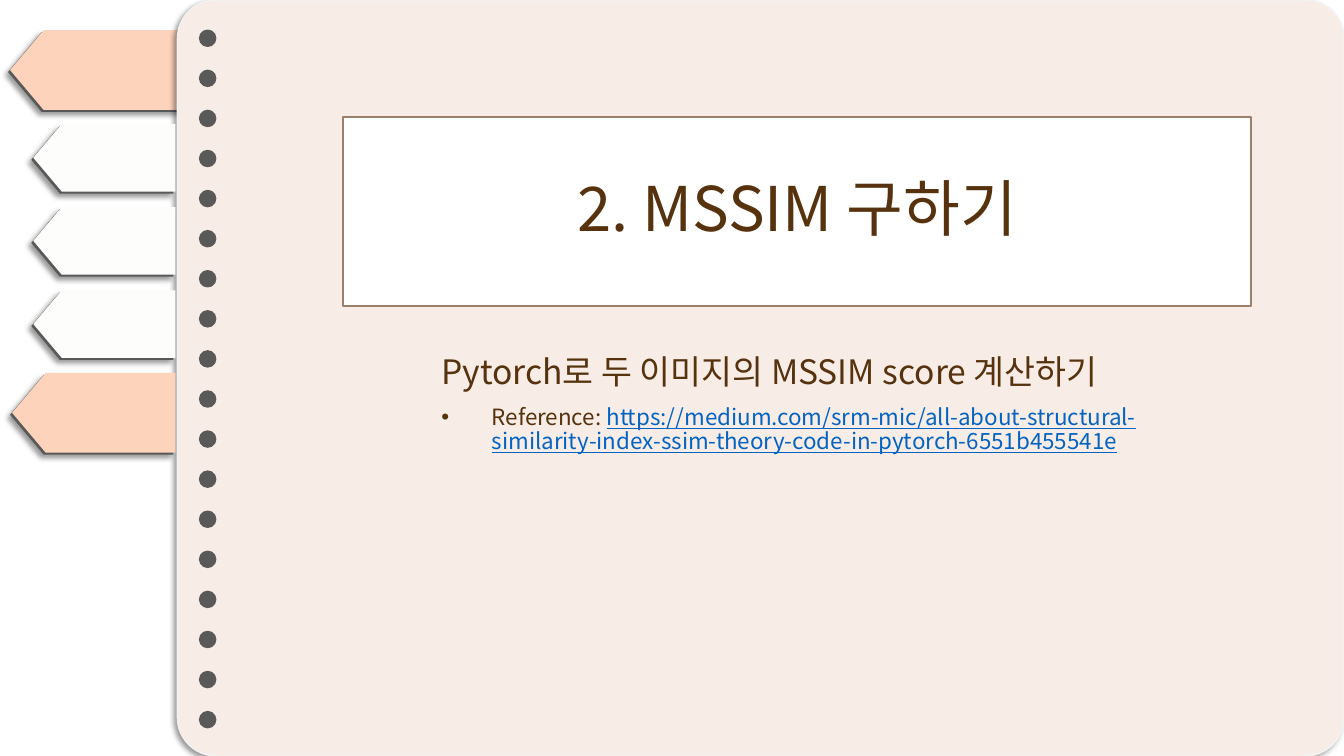
from lxml import etree
from pptx import Presentation
from pptx.dml.color import RGBColor
from pptx.enum import shapes, text
from pptx.oxml import ns
from pptx.util import Inches, Pt

FONT = "Noto Sans CJK KR"
BROWN, LINK, DARK = "56330E", "0563C1", "595959"
PEACH, WHITE = "FDD3BC", "FDFEFC"
KIND = shapes.MSO_SHAPE


def color(value):
    return RGBColor.from_string(value)


def add_child(parent, tag, **attributes):
    return etree.SubElement(parent, ns.qn(tag), attributes)


def add_shadow(shape):
    effects = shape._element.spPr.find(ns.qn("a:effectLst"))
    shadow = add_child(effects, "a:outerShdw", blurRad=str(Pt(4)), dist=str(Pt(3)),
                       dir="8100000", algn="tr", rotWithShape="0")
    black = add_child(shadow, "a:srgbClr", val="000000")
    add_child(black, "a:alpha", val="40000")


def add_box(slide, kind, left, top, width, height, fill, line=None, weight=1):
    box = slide.shapes.add_shape(kind, Inches(left), Inches(top), Inches(width), Inches(height))
    box.shadow.inherit = False
    box.fill.solid()
    box.fill.fore_color.rgb = color(fill)
    if line:
        box.line.color.rgb = color(line)
        box.line.width = Pt(weight)
    else:
        box.line.fill.background()
    return box


def add_tab(slide, left, top, width, height, fill):
    for shift, drop, shade in ((-0.02, 0.02, DARK), (0, 0, fill)):
        tab = add_box(slide, KIND.PENTAGON, left + shift, top + drop, width, height, shade)
        tab.adjustments[0] = 0.421
        tab.rotation = 180
        if shade == DARK:
            add_shadow(tab)


def add_page(slide):
    page = add_box(slide, KIND.ROUNDED_RECTANGLE, 1.76, 0, 11.57, 7.5, "F7EDE6", "F2F2F2")
    page.adjustments[0] = 0.051
    add_shadow(page)
    for hole in range(18):
        add_box(slide, KIND.OVAL, 1.98, 0.3 + hole * 6.76 / 17, 0.16, 0.16, DARK, DARK)


def add_run(paragraph, words, size, shade=BROWN, underline=False):
    run = paragraph.add_run()
    run.text = words
    run.font.size = Pt(size)
    run.font.name = FONT
    run.font.color.rgb = color(shade)
    run.font.underline = underline
    add_child(run._r.get_or_add_rPr(), "a:ea", typeface=FONT)


def add_title(slide):
    title = add_box(slide, KIND.RECTANGLE, 3.4, 1.16, 9.01, 1.88, "FFFFFF", "9D806B", 1.5)
    title.text_frame.vertical_anchor = text.MSO_ANCHOR.MIDDLE
    heading = title.text_frame.paragraphs[0]
    heading.alignment = text.PP_ALIGN.CENTER
    heading.line_spacing = 0.9
    add_run(heading, "2. MSSIM 구하기", 44)


def add_body(slide):
    frame = slide.shapes.add_textbox(Inches(4.28), Inches(3.48), Inches(7.69), Inches(2.86)).text_frame
    frame.word_wrap = True
    task = frame.paragraphs[0]
    task.line_spacing = 0.9
    add_run(task, "Pytorch로 두 이미지의 MSSIM score 계산하기", 24)
    reference = frame.add_paragraph()
    reference.line_spacing = 0.9
    reference.space_before = Pt(10)
    properties = reference._p.get_or_add_pPr()
    properties.set("marL", str(Inches(0.5)))
    properties.set("indent", str(Inches(-0.5)))
    add_child(properties, "a:buFont", typeface="Arial")
    add_child(properties, "a:buChar", char="•")
    add_run(reference, "Reference: ", 16)
    add_run(reference, "https://medium.com/srm-mic/all-about-structural-similarity-index-ssim-theory-code-in-pytorch-6551b455541e",
            16, LINK, True)


def main():
    deck = Presentation()
    deck.slide_width, deck.slide_height = Inches(13.33), Inches(7.5)
    slide = deck.slides.add_slide(deck.slide_layouts[6])
    add_tab(slide, 0.1, 0.3, 1.88, 0.79, PEACH)
    add_page(slide)
    add_title(slide)
    add_body(slide)
    add_tab(slide, 0.12, 3.7, 1.62, 0.79, PEACH)
    for row in range(3):
        add_tab(slide, 0.33, 1.23 + row * 0.825, 1.41, 0.67, WHITE)
    deck.save("out.pptx")


if __name__ == "__main__":
    main()
